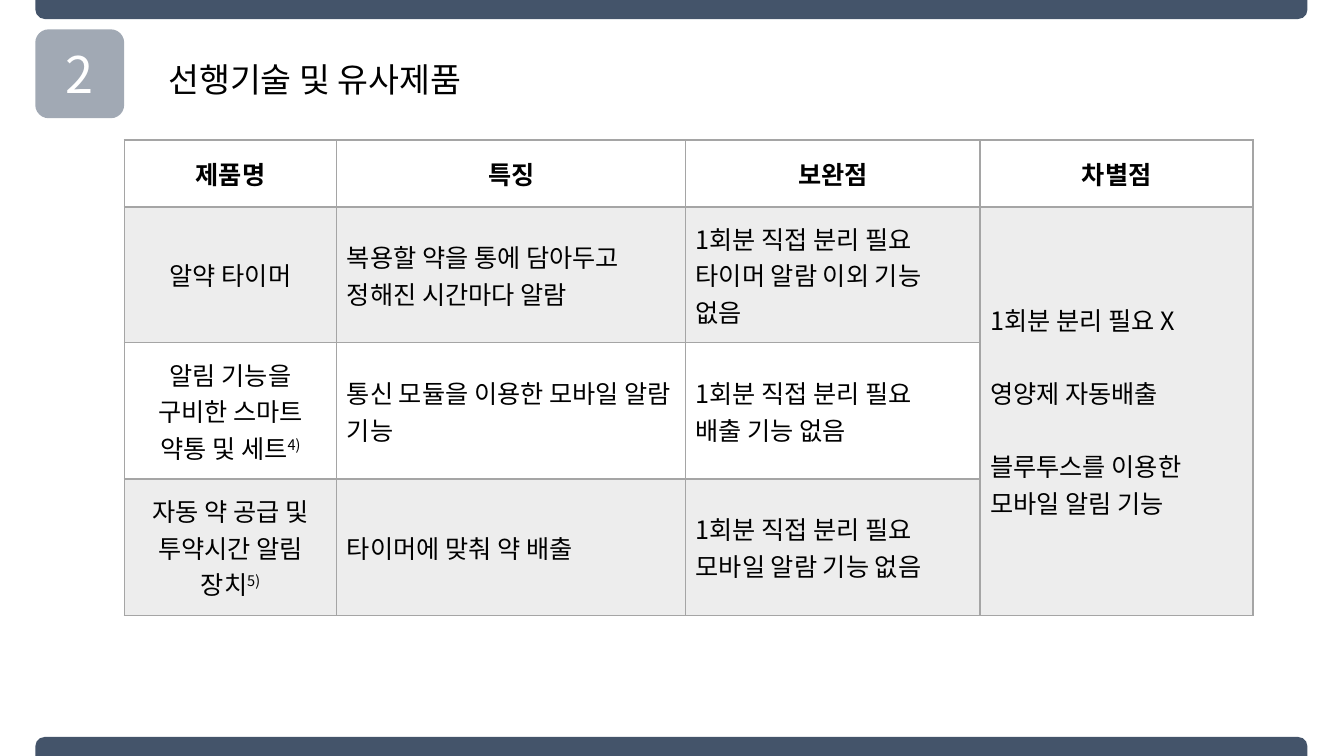
"""Build the slide on prior technology and similar products."""
from dataclasses import dataclass

from lxml import etree
from pptx import Presentation
from pptx.dml.color import RGBColor
from pptx.enum.shapes import MSO_SHAPE
from pptx.enum.text import MSO_ANCHOR, PP_ALIGN
from pptx.oxml.ns import qn
from pptx.util import Cm, Pt

BAR = MSO_SHAPE.ROUND_2_SAME_RECTANGLE
BADGE = MSO_SHAPE.ROUNDED_RECTANGLE
MIDDLE = MSO_ANCHOR.MIDDLE
LEFT, CENTER = PP_ALIGN.LEFT, PP_ALIGN.CENTER


@dataclass(frozen=True)
class Theme:
    """Colours, font and type sizes of the slide."""

    navy: str = "44546A"
    gray: str = "A5A5A5"
    white: str = "FFFFFF"
    black: str = "000000"
    font: str = "Noto Sans CJK KR"
    badge: int = 36
    title: int = 24
    body: int = 18


@dataclass(frozen=True)
class Panel:
    """A filled shape with its place in centimetres."""

    shape: int
    left: float
    top: float
    width: float
    height: float
    adjustments: tuple
    rotation: int = 0
    opacity: int = 100
    text: str = ""


@dataclass(frozen=True)
class Entry:
    """The paragraphs of one table cell and its footnote mark."""

    lines: tuple
    note: str = ""


THEME = Theme()
MARGIN, BAR_WIDTH, BAR_HEIGHT = 0.89, 32.06, 0.48
SLIDE_WIDTH, SLIDE_HEIGHT = 33.87, 19.05
PANELS = (
    Panel(BAR, MARGIN, 0, BAR_WIDTH, BAR_HEIGHT, (0.5, 0), rotation=180),
    Panel(BAR, MARGIN, SLIDE_HEIGHT - BAR_HEIGHT, BAR_WIDTH, BAR_HEIGHT, (0.5, 0)),
    Panel(BADGE, MARGIN, 0.74, 2.24, 2.24, (0.15,), opacity=50, text="2"),
)
TITLE = "선행기술 및 유사제품"
COLUMN_WIDTHS = (5.36, 8.79, 7.42, 6.88)
ROW_HEIGHTS = (1.68, 3.43, 3.43, 3.43)
MANUAL = "1회분 직접 분리 필요"
ROWS = (
    (Entry(("제품명",)), Entry(("특징",)), Entry(("보완점",)), Entry(("차별점",))),
    (
        Entry(("알약 타이머",)),
        Entry(("복용할 약을 통에 담아두고 정해진 시간마다 알람",)),
        Entry((MANUAL, "타이머 알람 이외 기능 없음")),
        Entry(("1회분 분리 필요 X", "영양제 자동배출", "블루투스를 이용한 모바일 알림 기능")),
    ),
    (
        Entry(("알림 기능을 구비한 스마트 약통 및 세트",), "4)"),
        Entry(("통신 모듈을 이용한 모바일 알람 기능",)),
        Entry((MANUAL, "배출 기능 없음")),
    ),
    (
        Entry(("자동 약 공급 및 투약시간 알림 장치",), "5)"),
        Entry(("타이머에 맞춰 약 배출",)),
        Entry((MANUAL, "모바일 알람 기능 없음")),
    ),
)
MERGED_COLUMN = 3
MERGED_GAP = Pt(26)


def paint(fill, color: str, opacity: int = 100) -> None:
    """Fill with a colour at the given opacity in percent."""
    fill.solid()
    fill.fore_color.rgb = RGBColor.from_string(color)
    if opacity < 100:
        tint = fill._xPr.find(qn("a:solidFill"))[0]
        etree.SubElement(tint, qn("a:alpha"), val=str(opacity * 1000))


def style_text(frame, size: int, color: str, align, bold: bool = False) -> None:
    """Format every run of a text frame alike."""
    for para in frame.paragraphs:
        para.alignment = align
        for span in para.runs:
            font = span.font
            font.size, font.bold, font.name = Pt(size), bold, THEME.font
            font.color.rgb = RGBColor.from_string(color)
            properties = span._r.get_or_add_rPr()
            etree.SubElement(properties, qn("a:ea"), typeface=THEME.font)


def add_panel(page, panel: Panel) -> None:
    """Draw a filled shape with its optional label."""
    place = map(Cm, (panel.left, panel.top, panel.width, panel.height))
    shape = page.shapes.add_shape(panel.shape, *place)
    for index, value in enumerate(panel.adjustments):
        shape.adjustments[index] = value
    shape.rotation = panel.rotation
    shape.shadow.inherit = False
    shape.line.fill.background()
    paint(shape.fill, THEME.navy, panel.opacity)
    if panel.text:
        frame = shape.text_frame
        frame.text, frame.vertical_anchor = panel.text, MIDDLE
        style_text(frame, THEME.badge, THEME.white, CENTER)


def add_title(page) -> None:
    """Write the slide title."""
    box = page.shapes.add_textbox(Cm(3.99), Cm(1.35), Cm(8.81), Cm(1.28))
    frame = box.text_frame
    frame.text, frame.word_wrap, frame.vertical_anchor = TITLE, True, MIDDLE
    style_text(frame, THEME.title, THEME.black, LEFT)


def add_borders(cell, row: int) -> None:
    """Rule a cell, with a heavier line under the header."""
    top, bottom = (2 if row == 1 else 1), (2 if row == 0 else 1)
    for side, width in (("L", 1), ("R", 1), ("T", top), ("B", bottom)):
        line = etree.SubElement(
            cell._tc.get_or_add_tcPr(), qn(f"a:ln{side}"), w=str(Pt(width))
        )
        solid = etree.SubElement(line, qn("a:solidFill"))
        etree.SubElement(solid, qn("a:srgbClr"), val=THEME.gray)


def fill_cell(cell, entry: Entry, row: int, column: int) -> None:
    """Write and format the text of one cell."""
    frame = cell.text_frame
    frame.text = "\n".join(entry.lines)
    if entry.note:
        mark = frame.paragraphs[-1].add_run()
        mark.text = entry.note
        mark._r.get_or_add_rPr().set("baseline", "30000")
    align = CENTER if row == 0 or column == 0 else LEFT
    style_text(frame, THEME.body, THEME.black, align, bold=row == 0)
    if column == MERGED_COLUMN:
        for para in frame.paragraphs[1:]:
            para.space_before = MERGED_GAP


def add_comparison(page) -> None:
    """Draw the product comparison table."""
    size = Cm(sum(COLUMN_WIDTHS)), Cm(sum(ROW_HEIGHTS))
    table = page.shapes.add_table(
        len(ROW_HEIGHTS), len(COLUMN_WIDTHS), Cm(3.13), Cm(3.53), *size
    ).table
    table.first_row = table.horz_banding = False
    for column, width in zip(table.columns, COLUMN_WIDTHS):
        column.width = Cm(width)
    for row, height in enumerate(ROW_HEIGHTS):
        table.rows[row].height = Cm(height)
        for column, cell in enumerate(table.rows[row].cells):
            cell.vertical_anchor = MIDDLE
            add_borders(cell, row)
            if row % 2:
                paint(cell.fill, THEME.gray, 20)
            else:
                paint(cell.fill, THEME.white)
            if column < len(ROWS[row]):
                fill_cell(cell, ROWS[row][column], row, column)
    last_row = len(ROW_HEIGHTS) - 1
    table.cell(1, MERGED_COLUMN).merge(table.cell(last_row, MERGED_COLUMN))


def main() -> None:
    """Assemble and save the deck."""
    deck = Presentation()
    deck.slide_width, deck.slide_height = Cm(SLIDE_WIDTH), Cm(SLIDE_HEIGHT)
    page = deck.slides.add_slide(deck.slide_layouts[6])
    for panel in PANELS:
        add_panel(page, panel)
    add_title(page)
    add_comparison(page)
    deck.save("out.pptx")


main()
